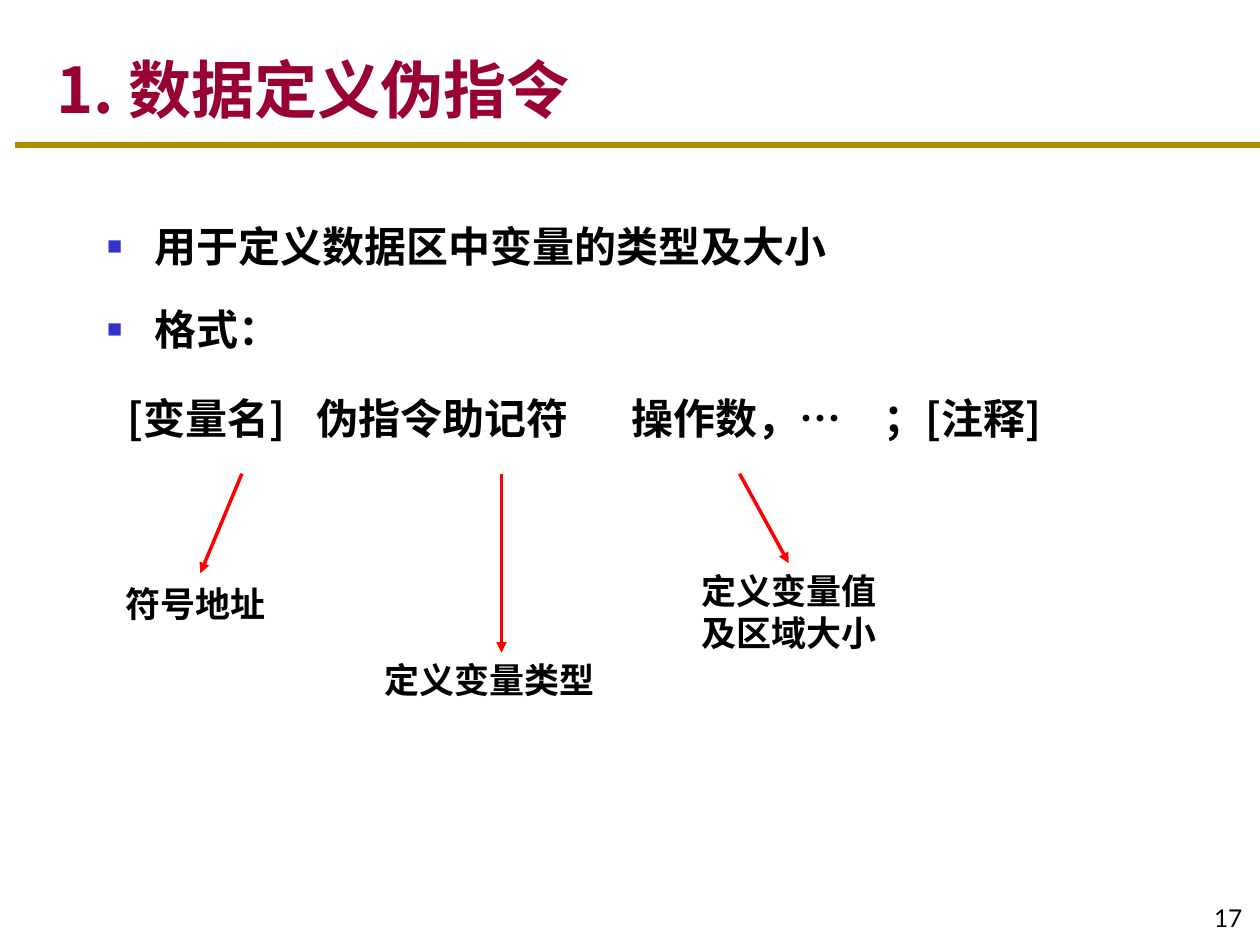
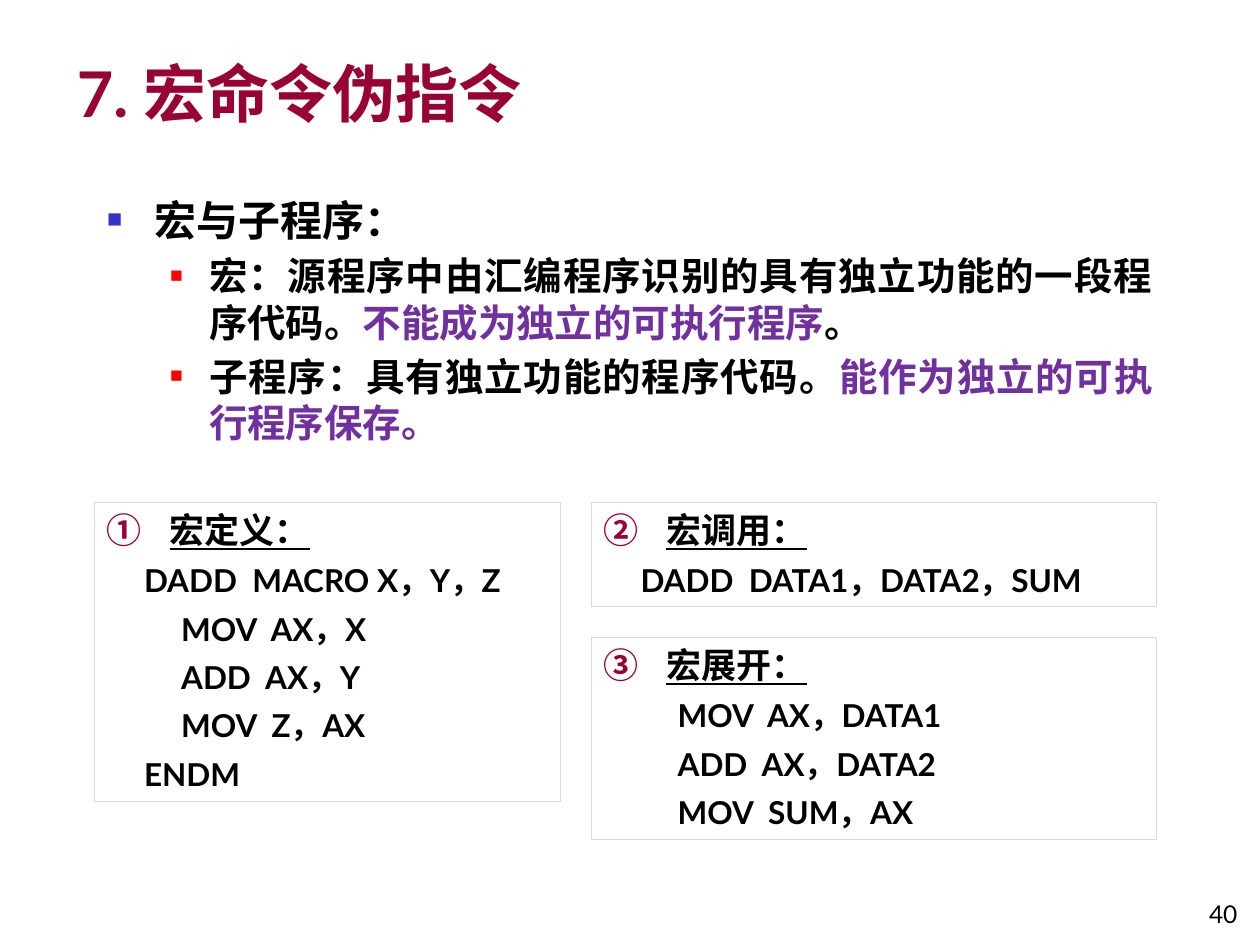
from lxml import etree
from pptx import Presentation
from pptx.dml.color import RGBColor
from pptx.enum.lang import MSO_LANGUAGE_ID
from pptx.enum.shapes import MSO_CONNECTOR, MSO_SHAPE
from pptx.enum.text import MSO_ANCHOR, MSO_AUTO_SIZE, PP_ALIGN
from pptx.oxml.ns import qn
from pptx.util import Inches, Pt

LEFT, RIGHT, JUSTIFY = PP_ALIGN.LEFT, PP_ALIGN.RIGHT, PP_ALIGN.JUSTIFY
TOP, BOTTOM = MSO_ANCHOR.TOP, MSO_ANCHOR.BOTTOM
NO_AUTOFIT = MSO_AUTO_SIZE.NONE
STRAIGHT = MSO_CONNECTOR.STRAIGHT
RECTANGLE = MSO_SHAPE.RECTANGLE
CHINESE = MSO_LANGUAGE_ID.SIMPLIFIED_CHINESE
TITLE_AND_CONTENT = 1

HAN_FONT, LATIN_FONT, BULLET_FONT = "Noto Sans CJK SC", "Lato", "Arial"
BLACK, CRIMSON, GOLD = "000000", "990033", "AD8C01"
BLUE, RED, PURPLE, GREY = "3333CC", "FF0000", "7030A0", "D9D9D9"


def color(hex_code):
    return RGBColor.from_string(hex_code)


def add_child(parent, tag, **attributes):
    child = etree.SubElement(parent, qn(tag))
    for name, value in attributes.items():
        child.set(name, str(value))
    return child


def add_run(paragraph, text, size, font=HAN_FONT, fill=BLACK, bold=True, underline=False):
    run = paragraph.add_run()
    run.text = text
    run.font.size = Pt(size)
    run.font.bold = bold
    run.font.underline = underline
    run.font.color.rgb = color(fill)
    run.font.language_id = CHINESE
    run.font.name = font
    add_child(run.font._element, "a:ea", typeface=HAN_FONT)


def set_bullet(paragraph, fill, size=100, number=None):
    """Square bullet, or a circled number when one is given."""
    properties = paragraph._p.get_or_add_pPr()
    add_child(add_child(properties, "a:buClr"), "a:srgbClr", val=fill)
    if number:
        add_child(properties, "a:buFont", typeface=HAN_FONT)
        add_child(properties, "a:buAutoNum", type="circleNumDbPlain", startAt=number)
    else:
        add_child(properties, "a:buSzPct", val=size * 1000)
        add_child(properties, "a:buFont", typeface=BULLET_FONT)
        add_child(properties, "a:buChar", char="■")


def add_text(frame, text, size, align=LEFT, left=0, first=0, before=0, after=0,
             leading=1.2, level=0, bullet=None, tabs=(), **run_format):
    """Add one paragraph; text is a string or a list of (text, run format) pairs."""
    is_first = not frame.paragraphs[0].runs
    paragraph = frame.paragraphs[0] if is_first else frame.add_paragraph()
    paragraph.alignment = align
    paragraph.level = level
    paragraph.line_spacing = Pt(size * leading)
    paragraph.space_before = Pt(0 if is_first else before)
    paragraph.space_after = Pt(after)
    properties = paragraph._p.get_or_add_pPr()
    properties.set("marL", str(Inches(left)))
    properties.set("indent", str(Inches(first)))
    if bullet:
        set_bullet(paragraph, **bullet)
    else:
        add_child(properties, "a:buNone")
    if tabs:
        tab_list = add_child(properties, "a:tabLst")
        for position in tabs:
            add_child(tab_list, "a:tab", pos=Inches(position), algn="l")
    runs = [(text, {})] if isinstance(text, str) else text
    for run_text, changes in runs:
        add_run(paragraph, run_text, size, **{**run_format, **changes})


def prepare_frame(shape, anchor=TOP):
    frame = shape.text_frame
    frame.word_wrap = True
    frame.auto_size = NO_AUTOFIT
    frame.vertical_anchor = anchor
    return frame


def place(placeholder, box, anchor=TOP):
    placeholder.left, placeholder.top, placeholder.width, placeholder.height = map(Inches, box)
    return prepare_frame(placeholder, anchor)


def add_label(slide, box, text, size=20, anchor=TOP, **text_format):
    label = slide.shapes.add_textbox(*map(Inches, box))
    add_text(prepare_frame(label, anchor), text, size, **text_format)


def add_line(slide, start, end, fill, width, arrow=False):
    line = slide.shapes.add_connector(STRAIGHT, *map(Inches, (*start, *end)))
    line.line.color.rgb = color(fill)
    line.line.width = Pt(width)
    if arrow:
        add_child(line.line._get_or_add_ln(), "a:tailEnd", type="triangle")
    add_child(line._element.spPr, "a:effectLst")


def add_content_slide(presentation, title, title_box, body_box, number, number_box):
    """Add a slide with its title and page number; return it with its body frame."""
    slide = presentation.slides.add_slide(presentation.slide_layouts[TITLE_AND_CONTENT])
    title_frame = place(slide.shapes.title, title_box, BOTTOM)
    add_text(title_frame, title, 36, fill=CRIMSON)
    add_label(slide, number_box, number, 14, BOTTOM, align=RIGHT, font=LATIN_FONT, bold=False)
    return slide, place(slide.placeholders[1], body_box)


def add_bullet(frame, text, **text_format):
    add_text(frame, text, 24, align=JUSTIFY, left=0.38, first=-0.38,
             bullet={"fill": BLUE, "size": 60}, **text_format)


def add_sub_bullet(frame, text):
    add_text(frame, text, 22, align=JUSTIFY, left=0.81, first=-0.31, before=2.5, after=2,
             level=1, bullet={"fill": RED, "size": 55})


def add_code_card(slide, box, number, heading, code):
    """Outlined card with a numbered heading and (depth, statement) lines."""
    card = slide.shapes.add_shape(RECTANGLE, *map(Inches, box))
    card.shadow.inherit = False
    card.fill.background()
    card.line.color.rgb = color(GREY)
    card.line.width = Pt(0.5)
    frame = prepare_frame(card)
    add_text(frame, heading, 20, left=0.5, first=-0.5, underline=True,
             bullet={"fill": CRIMSON, "number": number})
    for depth, statement in code:
        add_text(frame, statement, 18, first=depth * 0.295, before=6, font=LATIN_FONT)


def build_data_definition(presentation):
    slide, body = add_content_slide(
        presentation, "1. 数据定义伪指令", (0.35, 0.13, 6.66, 0.92),
        (0.75, 1.62, 8.98, 2.3), "17", (9.25, 6.95, 0.71, 0.5))
    add_line(slide, (0.12, 1.15), (10, 1.15), GOLD, 3)

    # Purpose and statement format
    add_bullet(body, "用于定义数据区中变量的类型及大小", leading=1.44, after=7)
    add_bullet(body, "格式：", leading=1.44, before=6, after=2)
    add_text(body, [("[变量名]\t伪指令助记符\t操作数，", {}), ("…", {"font": "Arial"}),
                    ("\t；[注释]", {})],
             24, left=0.16, before=14, leading=1.44, tabs=(1.78, 3.94, 5.87))

    # Meaning of each field
    arrow_top = 3.76
    fields = [
        ("符号地址", (0.9, 4.57, 1.44, 0.43), 1.92, (1.59, 4.55)),
        ("定义变量类型", (2.95, 5.18, 1.97, 0.43), 3.98, (3.98, 5.18)),
        ("定义变量值及区域大小", (5.47, 4.47, 1.81, 0.77), 5.87, (6.26, 4.47)),
    ]
    for meaning, box, arrow_left, arrow_end in fields:
        add_label(slide, box, meaning)
        add_line(slide, (arrow_left, arrow_top), arrow_end, RED, 2, arrow=True)


def build_macro(presentation):
    slide, body = add_content_slide(
        presentation, [("7. ", {"font": LATIN_FONT}), ("宏命令伪指令", {})],
        (0.51, 0.29, 8.39, 0.79), (0.75, 1.49, 8.5, 2.42), "40", (7.84, 6.92, 2.08, 0.5))

    # Macro compared with subroutine
    purple = {"fill": PURPLE, "font": "Noto Sans CJK JP"}
    add_bullet(body, "宏与子程序：", after=2)
    add_sub_bullet(body, [("宏：源程序中由汇编程序识别的具有独立功能的一段程序代码。", {}),
                          ("不能成为独立的可执行程序", purple), ("。", {})])
    add_sub_bullet(body, [("子程序：具有独立功能的程序代码。", {}),
                          ("能作为独立的可执行程序保存。", purple)])

    # Definition, call and expansion
    add_code_card(slide, (0.75, 3.99, 3.7, 2.37), 1, "宏定义：", [
        (1, "DADD  MACRO X，Y，Z"), (2, "MOV  AX，X"), (2, "ADD  AX，Y"),
        (2, "MOV  Z，AX"), (1, "ENDM")])
    add_code_card(slide, (4.69, 3.99, 4.49, 0.82), 2, "宏调用：", [
        (1, "DADD  DATA1，DATA2，SUM")])
    add_code_card(slide, (4.69, 5.06, 4.49, 1.6), 3, "宏展开：", [
        (2, "MOV  AX，DATA1"), (2, "ADD  AX，DATA2"), (2, "MOV  SUM，AX")])


def main():
    presentation = Presentation()
    presentation.slide_width, presentation.slide_height = Inches(10), Inches(7.5)
    build_data_definition(presentation)
    build_macro(presentation)
    presentation.save("out.pptx")


if __name__ == "__main__":
    main()
